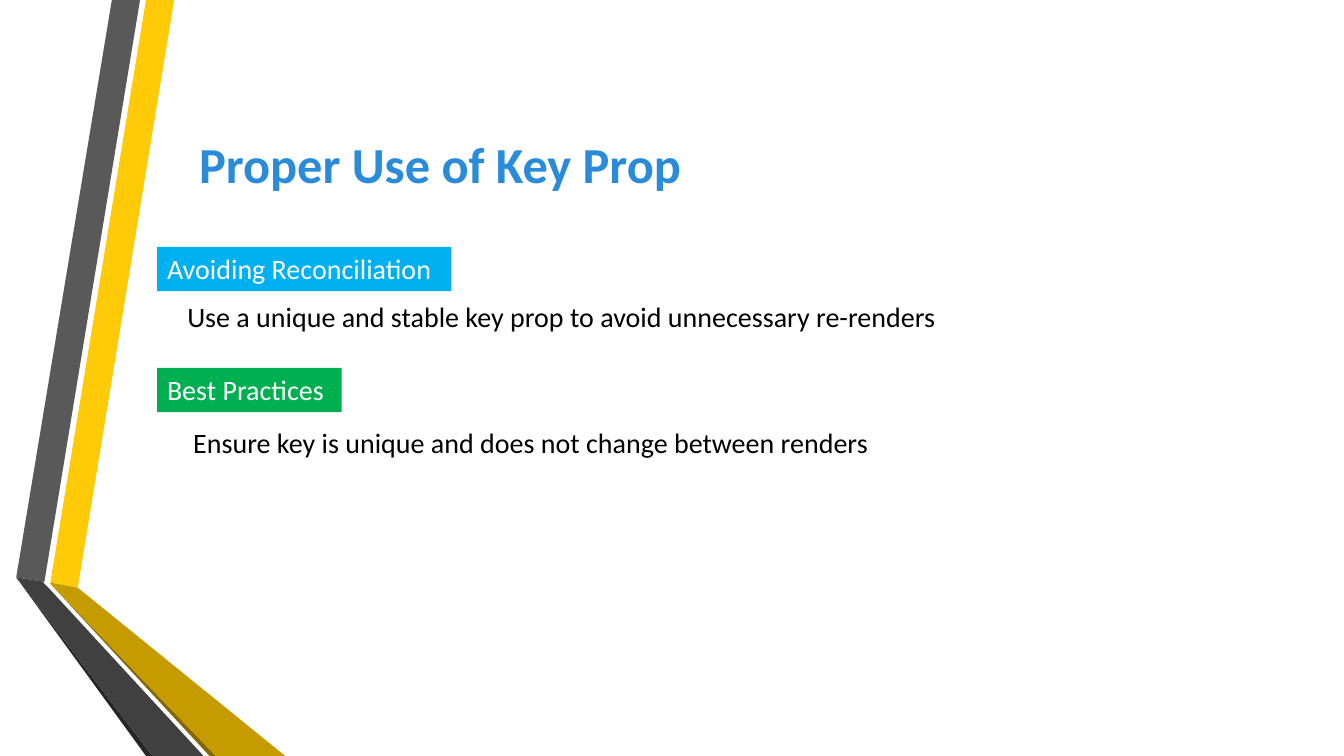
from pptx import Presentation
from pptx.dml.color import RGBColor
from pptx.enum.shapes import MSO_SHAPE
from pptx.enum.text import MSO_ANCHOR, MSO_AUTO_SIZE, PP_ALIGN
from pptx.util import Cm, Pt

FONT = "Calibri"
WHITE = RGBColor(0xFF, 0xFF, 0xFF)
BLACK = RGBColor(0x00, 0x00, 0x00)
TITLE_BLUE = RGBColor(0x2A, 0x8B, 0xD9)
TAG_BLUE = RGBColor(0x00, 0xB0, 0xF0)
TAG_GREEN = RGBColor(0x00, 0xB0, 0x50)
YELLOW = RGBColor(0xFF, 0xCA, 0x08)
OCHRE = RGBColor(0xC5, 0x9B, 0x00)
DARK_OCHRE = RGBColor(0x84, 0x67, 0x00)
GREY = RGBColor(0x59, 0x59, 0x59)
DARK_GREY = RGBColor(0x40, 0x40, 0x40)
NEAR_BLACK = RGBColor(0x26, 0x26, 0x26)

SLIDE_WIDTH, SLIDE_HEIGHT = 33.87, 19.05
LINE_HEIGHT = 1.12
TAG_LEFT = 3.96
GREY_BEND = (0.41, 14.55)
YELLOW_BEND = (1.27, 14.71)

# Ribbon bands from back to front, corners in centimetres
RIBBON_BANDS = [
    (YELLOW, [(1.27, 14.68), (1.96, 14.81), (4.39, 0), (3.68, 0)]),
    (GREY, [(3.53, 0), (2.82, 0), GREY_BEND, (1.12, 14.66)]),
    (NEAR_BLACK, [GREY_BEND, (3.68, SLIDE_HEIGHT), (3.84, SLIDE_HEIGHT)]),
    (DARK_OCHRE, [YELLOW_BEND, (5.28, SLIDE_HEIGHT), (5.44, SLIDE_HEIGHT)]),
    (OCHRE, [YELLOW_BEND, (5.44, SLIDE_HEIGHT), (7.19, SLIDE_HEIGHT),
             (1.96, 14.81), (1.27, 14.68)]),
    (DARK_GREY, [(5.13, SLIDE_HEIGHT), (1.22, 14.81), (1.09, 14.68),
                 (1.12, 14.66), GREY_BEND, (3.84, SLIDE_HEIGHT)]),
]


def paint(shape, color):
    shape.shadow.inherit = False
    shape.fill.solid()
    shape.fill.fore_color.rgb = color
    shape.line.fill.background()


def add_band(slide, color, corners):
    start, *others = [(Cm(x), Cm(y)) for x, y in corners]
    builder = slide.shapes.build_freeform(*start)
    builder.add_line_segments(others, close=True)
    paint(builder.convert_to_shape(), color)


def write_text(shape, text, *, size=20, color=BLACK, bold=False,
               align=PP_ALIGN.LEFT, anchor=MSO_ANCHOR.TOP, wrap=False,
               auto_size=MSO_AUTO_SIZE.SHAPE_TO_FIT_TEXT):
    frame = shape.text_frame
    frame.word_wrap = wrap
    frame.auto_size = auto_size
    frame.vertical_anchor = anchor
    paragraph = frame.paragraphs[0]
    paragraph.alignment = align
    run = paragraph.add_run()
    run.text = text
    run.font.name = FONT
    run.font.size = Pt(size)
    run.font.bold = bold
    run.font.color.rgb = color


def add_text(slide, text, left, top, width, height=LINE_HEIGHT, **text_format):
    box = slide.shapes.add_textbox(Cm(left), Cm(top), Cm(width), Cm(height))
    write_text(box, text, **text_format)


def add_tag(slide, text, top, width, fill):
    tag = slide.shapes.add_shape(MSO_SHAPE.RECTANGLE, Cm(TAG_LEFT), Cm(top),
                                 Cm(width), Cm(LINE_HEIGHT))
    paint(tag, fill)
    write_text(tag, text, color=WHITE)


def main():
    presentation = Presentation()
    presentation.slide_width = Cm(SLIDE_WIDTH)
    presentation.slide_height = Cm(SLIDE_HEIGHT)
    slide = presentation.slides.add_slide(presentation.slide_layouts[6])

    for color, corners in RIBBON_BANDS:
        add_band(slide, color, corners)

    add_text(slide, "Proper Use of Key Prop", 4.29, 3.12, 13.61, 1.98,
             size=36, color=TITLE_BLUE, bold=True, align=PP_ALIGN.CENTER,
             anchor=MSO_ANCHOR.MIDDLE, wrap=True, auto_size=MSO_AUTO_SIZE.NONE)
    add_tag(slide, "Avoiding Reconciliation", 6.22, 7.42, TAG_BLUE)
    add_tag(slide, "Best Practices", 9.27, 4.65, TAG_GREEN)
    add_text(slide, "Use a unique and stable key prop to avoid unnecessary re-renders",
             4.47, 7.42, 19.66)
    add_text(slide, "Ensure key is unique and does not change between renders",
             4.62, 10.59, 17.78)

    presentation.save("out.pptx")


if __name__ == "__main__":
    main()
